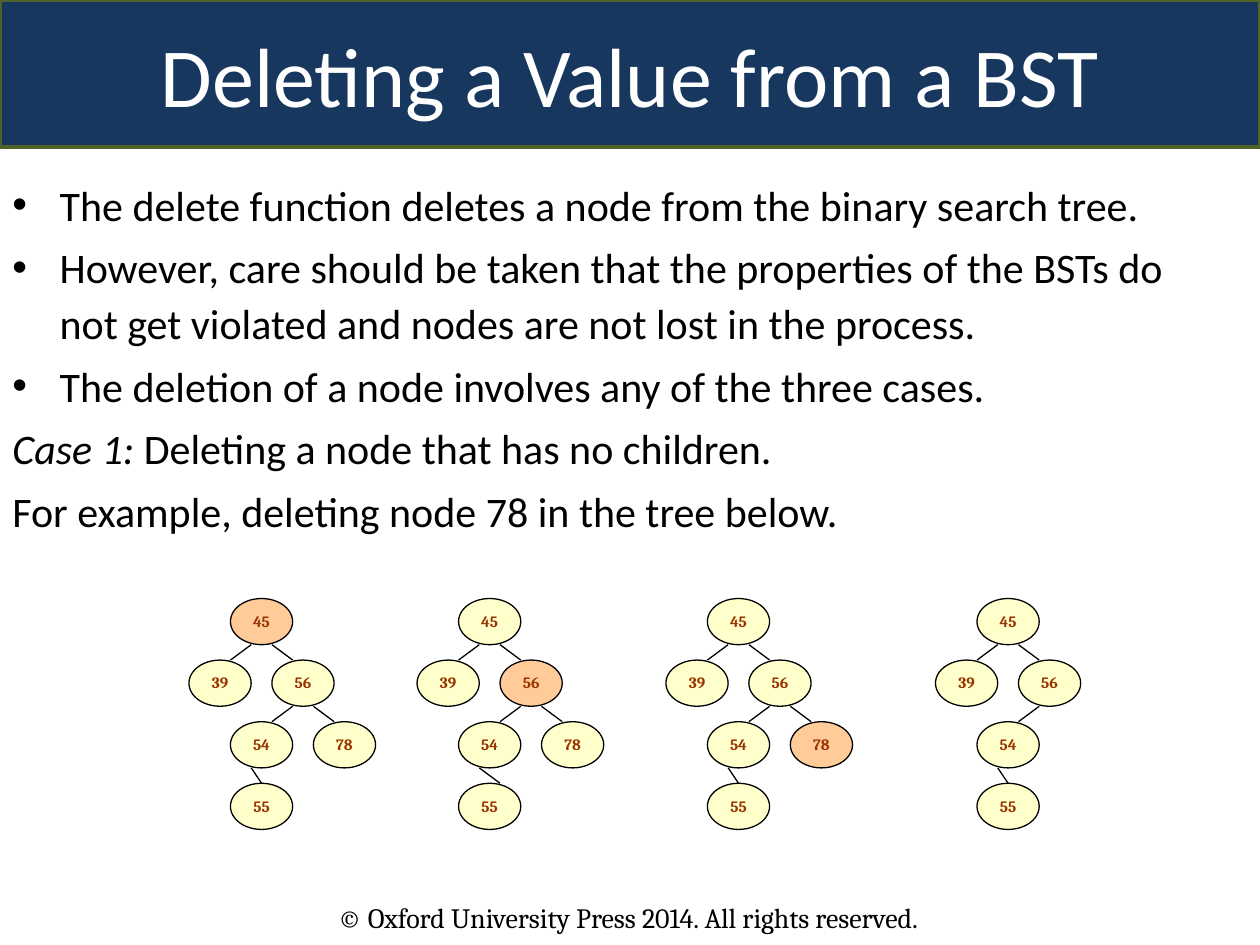
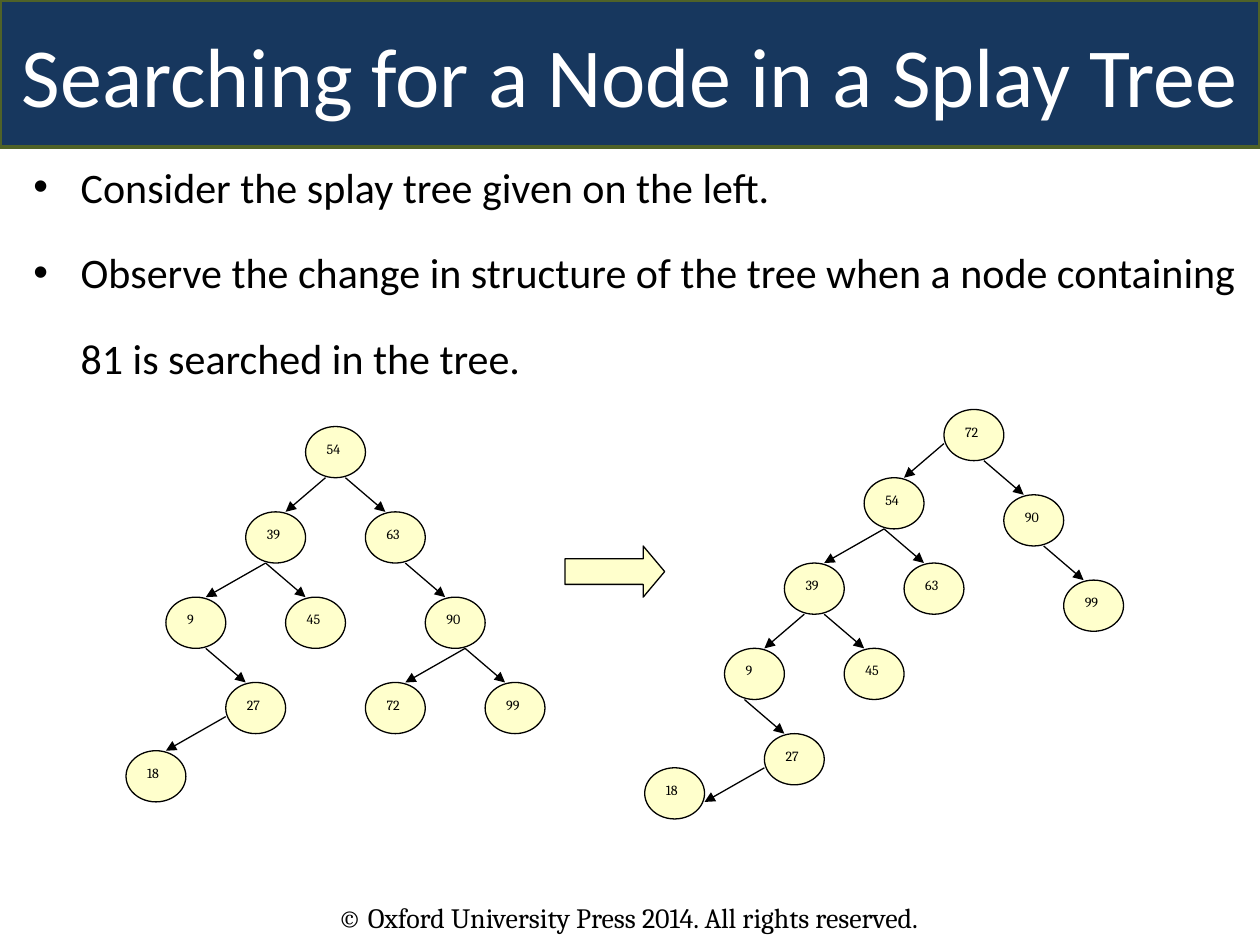
from lxml import etree
from pptx import Presentation
from pptx.dml.color import RGBColor
from pptx.enum import shapes as kinds, text as txt
from pptx.oxml import ns
from pptx.util import Pt

NAVY, OLIVE, WHITE, BLACK = "17375E", "4F6228", "FFFFFF", "000000"
CREAM, PEACH, RUST = "FFFFCC", "FFCC99", "993300"
hue = RGBColor.from_string
SHAPE, ALIGN, ANCHOR = kinds.MSO_SHAPE, txt.PP_ALIGN, txt.MSO_ANCHOR


def paint(shape, fill, edge, width):
    shape.shadow.inherit = False
    shape.fill.solid()
    shape.fill.fore_color.rgb = hue(fill)
    shape.line.color.rgb = hue(edge)
    shape.line.width = Pt(width)


def dress(par, size, face, color, align=ALIGN.LEFT):
    """Set the font and alignment of a paragraph."""
    par.alignment = align
    par.font.size = Pt(size)
    par.font.name = face
    par.font.color.rgb = hue(color)


deck = Presentation()
deck.slide_width, deck.slide_height = Pt(720), Pt(540)

# Each page: title, body box, anchor, line spacing, space before, paragraphs.
# A paragraph is (bulleted, italic lead, text).
pages = [
    ("Deleting a Value from a BST", (0, 96, 690, 150), ANCHOR.TOP, 1.1, 4.2, [
        (True, "", "The delete function deletes a node from the binary search tree."),
        (True, "", "However, care should be taken that the properties of the BSTs do "
                   "not get violated and nodes are not lost in the process."),
        (True, "", "The deletion of a node involves any of the three cases."),
        (False, "Case 1:", " Deleting a node that has no children."),
        (False, "", "For example, deleting node 78 in the tree below."),
    ]),
    ("Searching for a Node in a Splay Tree", (12, 68.4, 708, 154), ANCHOR.MIDDLE, 1.7, 0, [
        (True, "", "Consider the splay tree given on the left."),
        (True, "", "Observe the change in structure of the tree when a node containing "
                   "81 is searched in the tree."),
    ]),
]

for title, box, anchor, pitch, gap, lines in pages:
    slide = deck.slides.add_slide(deck.slide_layouts[6])

    foot = slide.shapes.add_textbox(Pt(186), Pt(511), Pt(426), Pt(26.6)).text_frame
    foot.word_wrap = True
    foot.text = "© Oxford University Press 2014. All rights reserved."
    dress(foot.paragraphs[0], 16, "Cambria", BLACK)

    band = slide.shapes.add_shape(SHAPE.ROUNDED_RECTANGLE, 0, 0, Pt(720), Pt(84))
    band.adjustments[0] = 0
    paint(band, NAVY, OLIVE, 2)
    band.text_frame.text = title
    band.text_frame.vertical_anchor = ANCHOR.MIDDLE
    dress(band.text_frame.paragraphs[0], 48, "Calibri", WHITE, ALIGN.CENTER)

    body = slide.shapes.add_textbox(*map(Pt, box)).text_frame
    body.word_wrap = True
    body.vertical_anchor = anchor
    for i, (dot, lead, words) in enumerate(lines):
        par = body.paragraphs[0] if i == 0 else body.add_paragraph()
        props = par._p.get_or_add_pPr()
        props.set("marL", str(Pt(27)))
        props.set("indent", str(Pt(-27)))
        if dot:
            etree.SubElement(props, ns.qn("a:buFont"), typeface="Arial")
            etree.SubElement(props, ns.qn("a:buChar"), char="•")
        par.line_spacing = pitch
        par.space_before = Pt(gap if i else 0)
        dress(par, 24, "Calibri", BLACK)
        if lead:
            run = par.add_run()
            run.text = lead
            run.font.italic = True
        par.add_run().text = words

# Trees sit on a grid; every node is three units wide and three high.
# Nodes are (value, column, row, fill), links (column, row, column, row).
nodes, links = [], []
for col, hit in [(0, 45), (11, 56), (23, 78), (36, None)]:
    gone = hit is None
    for value, x, y in [(45, 2, 0), (39, 0, 4), (56, 4, 4), (78, 6, 8), (54, 2, 8), (55, 2, 12)]:
        if not (gone and value == 78):
            nodes.append((value, col + x, y, PEACH if value == hit else CREAM))
    tip = 12 if hit == 56 else 13
    for a, b, c, d in [(3, 3, 2, 4), (4, 3, 5, 4), (6, 7, 7, 8), (5, 7, 4, 8), (3, 11, 4, tip)]:
        if not (gone and a == 6):
            links.append((col + a, b, col + c, d))

splay = [
    # before the search
    (54, 9, 1), (39, 6, 6), (63, 12, 6), (9, 2, 11), (45, 8, 11),
    (27, 5, 16), (18, 0, 20), (90, 15, 11), (72, 12, 16), (99, 18, 16),
    # after the search
    (72, 41, 0), (90, 44, 5), (99, 47, 10), (54, 37, 4), (39, 33, 9),
    (63, 39, 9), (9, 30, 14), (18, 26, 21), (27, 32, 19), (45, 36, 14),
]
paths = [
    (10, 4, 8, 6), (11, 4, 13, 6), (7, 9, 4, 11), (7, 9, 9, 11), (4, 14, 6, 16),
    (5, 18, 2, 20), (14, 9, 16, 11), (17, 14, 14, 16), (17, 14, 19, 16),
    (43, 3, 45, 5), (46, 8, 48, 10), (41, 2, 39, 4), (38, 7, 35, 9), (38, 7, 40, 9),
    (34, 12, 32, 14), (32, 21, 29, 23), (31, 17, 33, 19), (35, 12, 37, 14),
]

# Each forest: left, top, unit width, unit height, nodes, links,
# text size, text colour, bold, alignment, left margin, arrowheads.
forests = [
    (108, 342, 11.85, 8.8, nodes, links, 9, RUST, True, ALIGN.CENTER, 0, False),
    (72, 234, 11.4, 9.75, [(*n, CREAM) for n in splay], paths,
     8, BLACK, False, ALIGN.LEFT, 7.2, True),
]

for slide, forest in zip(deck.slides, forests):
    left, top, wide, high, nodes, links, size, ink, bold, align, pad, heads = forest

    for a, b, c, d in links:
        link = slide.shapes.add_connector(
            kinds.MSO_CONNECTOR.STRAIGHT, Pt(left + a * wide), Pt(top + b * high),
            Pt(left + c * wide), Pt(top + d * high))
        link.line.color.rgb = hue(BLACK)
        link.line.width = Pt(0.75)
        if heads:
            etree.SubElement(link.line._get_or_add_ln(), ns.qn("a:tailEnd"), type="triangle")
        etree.SubElement(link._element.spPr, ns.qn("a:effectLst"))

    for value, x, y, fill in nodes:
        node = slide.shapes.add_shape(
            SHAPE.OVAL, Pt(left + x * wide), Pt(top + y * high), Pt(3 * wide), Pt(3 * high))
        paint(node, fill, BLACK, 0.75)
        frame = node.text_frame
        frame.margin_left, frame.margin_right = Pt(pad), 0
        frame.vertical_anchor = ANCHOR.TOP
        frame.text = str(value)
        dress(frame.paragraphs[0], size, "Cambria", ink, align)
        frame.paragraphs[0].font.bold = bold

    if heads:
        arrow = slide.shapes.add_shape(
            SHAPE.RIGHT_ARROW, Pt(left + 22 * wide), Pt(top + 8 * high), Pt(5 * wide), Pt(3 * high))
        arrow.adjustments[1] = 0.42
        paint(arrow, CREAM, BLACK, 0.75)

deck.save("out.pptx")
